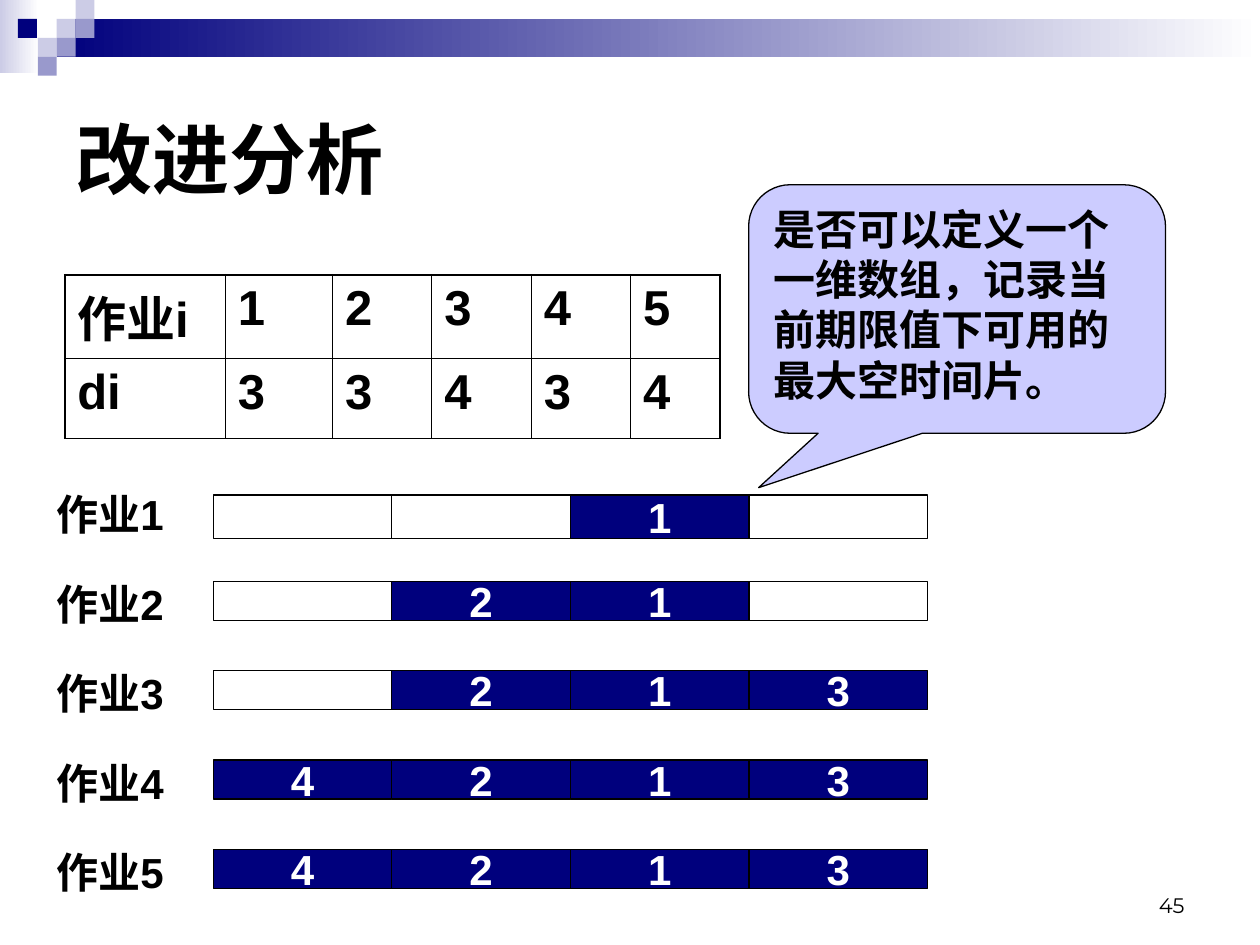
from lxml.etree import SubElement
from pptx import Presentation
from pptx.dml.color import RGBColor
from pptx.enum.shapes import MSO_SHAPE
from pptx.enum.text import MSO_ANCHOR, PP_ALIGN
from pptx.oxml.ns import qn
from pptx.util import Pt

HUES = {"ink": "000000", "paper": "FFFFFF", "navy": "00007D",
        "mist": "CCCCE6", "haze": "9999CC", "lilac": "CCCCFF"}


def hue(name):
    return RGBColor.from_string(HUES[name])


def write(frame, text, size=24, font="Arial", color="ink", bold=True,
          align=PP_ALIGN.LEFT, anchor=MSO_ANCHOR.TOP, wrap=True, lead=None):
    frame.word_wrap = wrap
    frame.vertical_anchor = anchor
    para = frame.paragraphs[0]
    para.alignment = align
    para.line_spacing = lead
    run = para.add_run()
    run.text = text
    run.font.size = Pt(size)
    run.font.name = font
    run.font.bold = bold
    run.font.color.rgb = hue(color)


def place(shape, box):
    shape.left, shape.top, shape.width, shape.height = map(Pt, box)


def label(shapes, box, text, **style):
    write(shapes.add_textbox(*map(Pt, box)).text_frame, text, **style)


def block(shapes, box, fill=None, line=None, fade=False,
          kind=MSO_SHAPE.RECTANGLE):
    """Add a preset shape; fade runs its fill to white, left to right."""
    shape = shapes.add_shape(kind, *map(Pt, box))
    shape.shadow.inherit = False
    if fade:
        shape.fill.gradient()
        shape.fill.gradient_angle = 0
        for stop, name, at in zip(shape.fill.gradient_stops,
                                  (fill, "paper"), (0, 1)):
            stop.color.rgb = hue(name)
            stop.position = at
    elif fill:
        shape.fill.solid()
        shape.fill.fore_color.rgb = hue(fill)
    else:
        shape.fill.background()
    if line:
        shape.line.color.rgb = hue(line)
        shape.line.width = Pt(0.75)
    else:
        shape.line.fill.background()
    return shape


def banner(slide, box):
    """Draw the fading bar and the chequered corner."""
    left, top, width, height = box
    shapes = slide.shapes.add_group_shape().shapes
    unit = height / 4
    start = 3 * unit
    block(shapes, (left, top, 22.3, 41.8), "mist", fade=True)
    block(shapes, (left + start, top + unit, width - start, 2 * unit),
          "navy", fade=True)
    tiles = [(3, 1, "mist"), (4, 0, "mist"), (4, 1, "haze"), (2, 2, "mist"),
             (0.95, 1, "navy"), (3, 2, "haze"), (2, 3, "haze")]
    for col, row, name in tiles:
        block(shapes, (left + col * unit, top + row * unit, unit, unit), name)


def edge(cell, side, width):
    line = SubElement(cell._tc.get_or_add_tcPr(), qn("a:" + side),
                      w=str(int(Pt(width))))
    fill = SubElement(line, qn("a:solidFill"))
    SubElement(fill, qn("a:srgbClr"), val=HUES["ink"])


def grid(slide, box, rows, widths, heights):
    """Add the job table with a heavier outer frame."""
    table = slide.shapes.add_table(len(rows), len(widths),
                                   *map(Pt, box)).table
    table.first_row = table.horz_banding = False
    for col, width in zip(table.columns, widths):
        col.width = Pt(width)
    for row, height in zip(table.rows, heights):
        row.height = Pt(height)
    for r, row in enumerate(rows):
        for c, text in enumerate(row):
            cell = table.cell(r, c)
            write(cell.text_frame, text, size=28)
            outer = {"lnL": c == 0, "lnR": c == len(row) - 1,
                     "lnT": r == 0, "lnB": r == len(rows) - 1}
            for side, heavy in outer.items():
                edge(cell, side, 1.08 if heavy else 0.45)
            cell.fill.background()


def slots(slide, box, name, jobs, drop=11, tall=22.3):
    """Draw one job label and its time slots; drop is the bar's offset."""
    left, top, width, height = box
    shapes = slide.shapes.add_group_shape().shapes
    label(shapes, (left, top, 85, height), name, lead=1.2)
    start = 96.6
    wide = (width - start) / len(jobs)
    for i, job in enumerate(jobs):
        spot = (left + start + i * wide, top + drop, wide, tall)
        cell = block(shapes, spot, "navy" if job else None, "ink")
        if job:
            write(cell.text_frame, job, color="paper", wrap=False,
                  align=PP_ALIGN.CENTER, anchor=MSO_ANCHOR.MIDDLE)


def callout(slide, box, text):
    shape = block(slide.shapes, box, "lilac", "ink",
                  kind=MSO_SHAPE.ROUNDED_RECTANGULAR_CALLOUT)
    for i, value in enumerate((-0.476, 0.719, 0.167)):
        shape.adjustments[i] = value
    write(shape.text_frame, text)


def main():
    deck = Presentation()
    deck.slide_width, deck.slide_height = Pt(720), Pt(540)
    slide = deck.slides.add_slide(deck.slide_layouts[5])

    banner(slide, (0, 0, 720, 43.2))
    title = slide.shapes.title
    place(title, (36, 36, 648, 108))
    write(title.text_frame, "改进分析", size=44, anchor=MSO_ANCHOR.MIDDLE)

    grid(slide, (37, 157, 374.6, 93.6),
         [["作业i", *"12345"], ["di", *"33434"]],
         [91.8, 61.2, 56.8, 56.8, 56.8, 51.2], [47.8, 45.8])

    plans = [["", "", "1", ""], ["", "2", "1", ""], ["", "2", "1", "3"],
             ["4", "2", "1", "3"], ["4", "2", "1", "3"]]
    for i, jobs in enumerate(plans):
        first = {"drop": 12.8, "tall": 25} if i == 0 else {}
        slots(slide, (25.2, 270 + i * 51.1, 504.9, 41.8), f"作业{i + 1}",
              jobs, **first)

    callout(slide, (427.8, 105.6, 238.2, 142),
            "是否可以定义一个一维数组，记录当前期限值下可用的最大空时间片。")
    label(slide.shapes, (516, 492, 168, 36), "45", size=12,
          font="Montserrat", bold=False, align=PP_ALIGN.RIGHT,
          anchor=MSO_ANCHOR.BOTTOM)
    deck.save("out.pptx")


if __name__ == "__main__":
    main()
